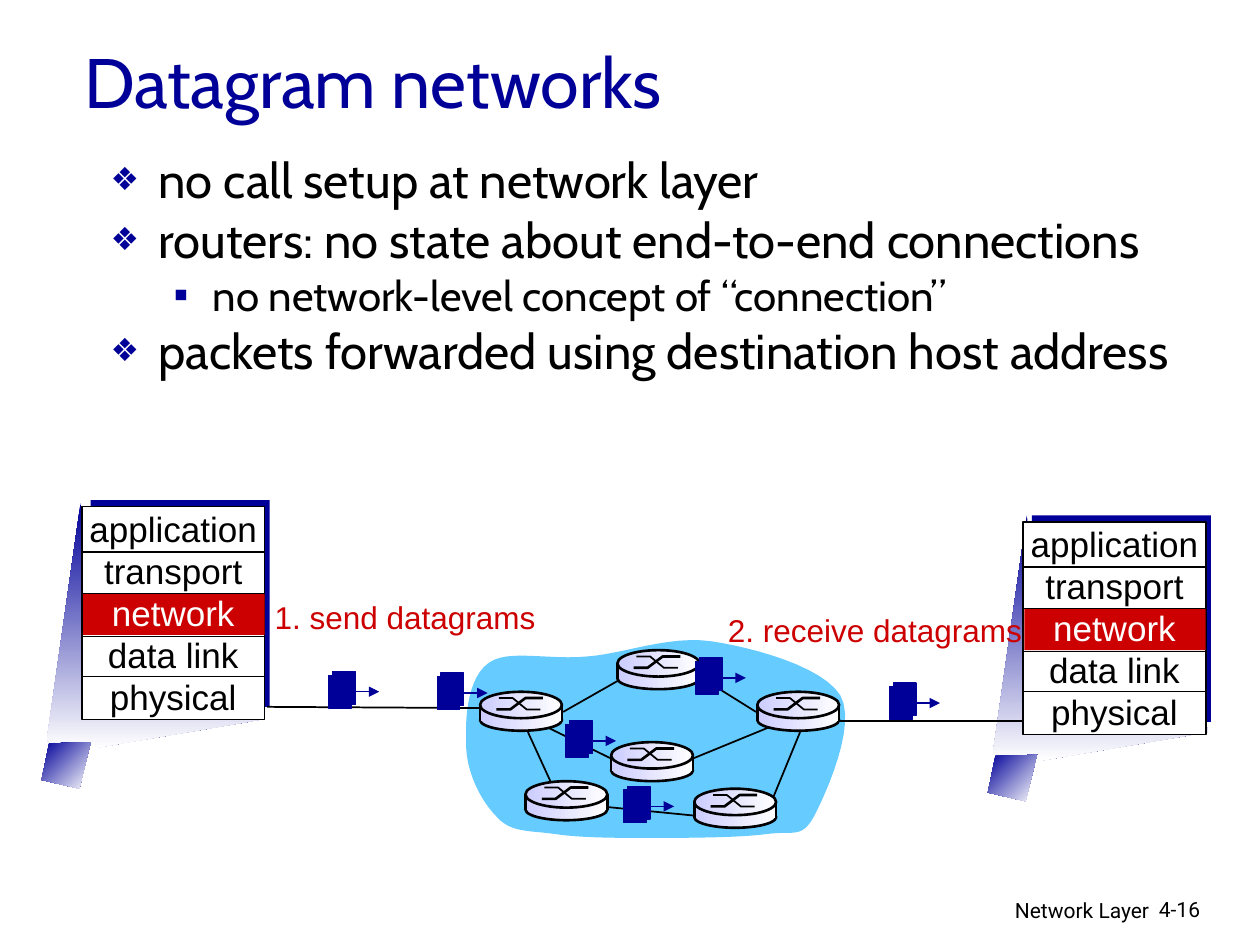
from lxml.etree import SubElement
from pptx import Presentation
from pptx.dml.color import RGBColor
from pptx.enum.shapes import MSO_CONNECTOR as Link, MSO_SHAPE as Shape
from pptx.enum.text import MSO_ANCHOR as Anchor, MSO_AUTO_SIZE as Auto, PP_ALIGN as Align
from pptx.oxml.ns import qn
from pptx.util import Inches, Pt

NAVY = RGBColor(0x00, 0x00, 0x99)
RED = RGBColor(0xCC, 0x00, 0x00)
SKY = RGBColor(0x66, 0xCC, 0xFF)
LILAC = RGBColor(0xCC, 0xCC, 0xFF)
WHITE = RGBColor(0xFF, 0xFF, 0xFF)
BLACK = RGBColor(0x00, 0x00, 0x00)

WIDE, HIGH = Inches(10), Inches(7.5)
COL, ROW = WIDE // 1000, HIGH // 750


def cells(x, y, w, h):
    return x * COL, y * ROW, w * COL, h * ROW


def paint(shape, fill=None, line=None, width=1, angle=0):
    shape.shadow.inherit = False
    if fill is None:
        shape.fill.background()
    elif isinstance(fill, list):
        shape.fill.gradient()
        shape.fill.gradient_angle = angle
        for stop, tint in zip(shape.fill.gradient_stops, fill):
            stop.color.rgb = tint
    else:
        shape.fill.solid()
        shape.fill.fore_color.rgb = fill
    if line is None:
        shape.line.fill.background()
    else:
        shape.line.color.rgb = line
        shape.line.width = Pt(width)


def block(slide, kind, box, *style):
    paint(slide.shapes.add_shape(kind, *cells(*box)), *style)


def outline(slide, x, y, dots, close, *style):
    spots = [(round((x + a) * COL), round((y + b) * ROW)) for a, b in dots]
    pen = slide.shapes.build_freeform(*spots[0])
    pen.add_line_segments(spots[1:], close=close)
    paint(pen.convert_to_shape(), *style)


def stroke(slide, ends, tint=BLACK, width=1, arrow=False):
    wire = slide.shapes.add_connector(Link.STRAIGHT, *cells(*ends))
    wire.line.color.rgb = tint
    wire.line.width = Pt(width)
    props = wire._element.spPr
    if arrow:
        SubElement(props.find(qn("a:ln")), qn("a:tailEnd"), type="triangle")
    SubElement(props, qn("a:effectLst"))


def label(slide, box, text, size, face, tint, align=Align.LEFT, wrap=True):
    frame = slide.shapes.add_textbox(*cells(*box)).text_frame
    frame.word_wrap = wrap
    frame.auto_size = Auto.NONE
    frame.text = text
    for para in frame.paragraphs:
        para.alignment = align
        for run in para.runs:
            run.font.size = Pt(size)
            run.font.name = face
            run.font.color.rgb = tint
    return frame


def bullet(para, mark, share):
    props = para._p.get_or_add_pPr()
    tint = SubElement(props, qn("a:buClr"))
    SubElement(tint, qn("a:srgbClr"), val=str(NAVY))
    SubElement(props, qn("a:buSzPct"), val=str(share * 1000))
    SubElement(props, qn("a:buFont"), typeface="Arial")
    SubElement(props, qn("a:buChar"), char=mark)
    return props


def points(slide, box, items):
    frame = label(slide, box, "\n".join(text for _, text in items), 28, "Cabin", BLACK)
    for spot, (para, (level, _)) in enumerate(zip(frame.paragraphs, items)):
        mark, share, size, left, hang = (("❖", 65, 28, 0.38, 0.38), ("▪", 100, 24, 0.81, 0.31))[level]
        props = bullet(para, mark, share)
        props.set("marL", str(Inches(left)))
        props.set("indent", str(-Inches(hang)))
        para.level = level
        para.line_spacing = 0.85
        para.space_before = Pt(size * 0.2 if spot else 0)
        para.runs[0].font.size = Pt(size)


def host(slide, x, y, fan_x, fan_y):
    fade = [NAVY, WHITE]
    sheet = [(0, 189), (27, 0), (36, 156), (167, 158), (171, 172), (36, 195)]
    tab = [(35, 190), (2, 191), (-4, 220), (26, 227)]
    outline(slide, fan_x, fan_y, sheet, True, fade, None, 1, 270)
    outline(slide, fan_x, fan_y, tab, True, fade, None, 1, 315)
    block(slide, Shape.RECTANGLE, (x + 7, y - 5, 142, 164), NAVY)
    block(slide, Shape.RECTANGLE, (x, y, 145, 169), WHITE, BLACK)
    block(slide, Shape.RECTANGLE, (x + 1, y + 69, 144, 33), RED)
    names = "application\ntransport\nnetwork\ndata link\nphysical"
    frame = label(slide, (x - 13, y - 4, 171, 177), names, 20, "Arial", BLACK, Align.CENTER)
    for para in frame.paragraphs:
        para.line_spacing = Pt(24)
    frame.paragraphs[2].runs[0].font.color.rgb = WHITE
    for row in (36, 69, 103, 135):
        stroke(slide, (x, y + row, x + 145, y + row), BLACK, 0.75)


def router(slide, x, y):
    fade = [LILAC, WHITE]
    block(slide, Shape.OVAL, (x, y + 14, 65, 17), fade, BLACK, 1.5)
    block(slide, Shape.RECTANGLE, (x, y + 12, 65, 11), fade)
    block(slide, Shape.OVAL, (x, y, 65, 21), fade, BLACK, 1.5)
    outline(slide, x, y, [(13, 14), (24, 14), (36, 5), (50, 5)], False, None, BLACK, 1.5)
    outline(slide, x, y, [(15, 5), (26, 5), (37, 14), (48, 14)], False, None, BLACK, 1)
    for side in (x, x + 65):
        stroke(slide, (side, y + 10, side, y + 23), BLACK, 1.5)


def packet(slide, x, y):
    for dx, dy in ((3, 0), (0, 3)):
        block(slide, Shape.RECTANGLE, (x + dx, y + dy, 18, 26), NAVY, NAVY, 0.75)
    stroke(slide, (x + 18, y + 16, x + 40, y + 16), NAVY, 0.75, True)


def curve(start, bends, steps=12):
    dots = [start]
    for b, c, d in bends:
        a = dots[-1]
        for step in range(1, steps + 1):
            t = step / steps
            u = 1 - t
            dots.append(tuple(u**3 * p + 3 * u * u * t * q + 3 * u * t * t * r + t**3 * s
                              for p, q, r, s in zip(a, b, c, d)))
    return dots


def cloud(slide, x, y):
    bends = [
        ((0, 63), (3, 33), (19, 22)), ((34, 11), (67, 20), (97, 17)),
        ((126, 15), (162, 0), (196, 5)), ((229, 10), (284, 25), (298, 48)),
        ((311, 71), (287, 125), (277, 144)), ((267, 162), (261, 155), (239, 158)),
        ((217, 161), (174, 161), (146, 161)), ((118, 161), (92, 161), (72, 158)),
        ((51, 155), (36, 157), (25, 144)), ((13, 132), (0, 108), (1, 84)),
    ]
    outline(slide, x, y, curve((1, 84), bends), True, SKY)


def network(slide):
    cloud(slide, 369, 504)
    for ends in ((212, 561, 385, 562), (447, 565, 498, 536), (552, 535, 600, 565),
                 (436, 578, 489, 604), (550, 602, 611, 577), (612, 637, 635, 581),
                 (558, 648, 477, 640), (440, 627, 419, 581), (812, 572, 663, 572)):
        stroke(slide, ends)
    for x, y in ((601, 549), (485, 589), (381, 549), (490, 516), (551, 626), (417, 620)):
        router(slide, x, y)
    for x, y in ((261, 533), (347, 534), (552, 522), (495, 624), (449, 572), (706, 542)):
        packet(slide, x, y)


def main():
    deck = Presentation()
    deck.slide_width, deck.slide_height = WIDE, HIGH
    slide = deck.slides.add_slide(deck.slide_layouts[6])
    label(slide, (605, 707, 317, 31), "Network Layer", 12, "Roboto", BLACK, Align.RIGHT)
    label(slide, (910, 707, 74, 30), "4-16", 12, "Roboto", BLACK)
    title = label(slide, (57, 15, 850, 98), "Datagram networks", 40, "Cabin", NAVY)
    title.vertical_anchor = Anchor.MIDDLE
    points(slide, (78, 121, 883, 249), [
        (0, "no call setup at network layer"),
        (0, "routers: no state about end-to-end connections"),
        (1, "no network-level concept of “connection”"),
        (0, "packets forwarded using destination host address"),
    ])
    host(slide, 812, 414, 788, 409)
    host(slide, 65, 402, 37, 399)
    network(slide)
    label(slide, (208, 470, 227, 40), "1. send datagrams", 18, "Arial", RED, Align.CENTER, False)
    label(slide, (568, 480, 253, 40), "2. receive datagrams", 18, "Arial", RED, Align.CENTER, False)
    deck.save("out.pptx")


if __name__ == "__main__":
    main()
